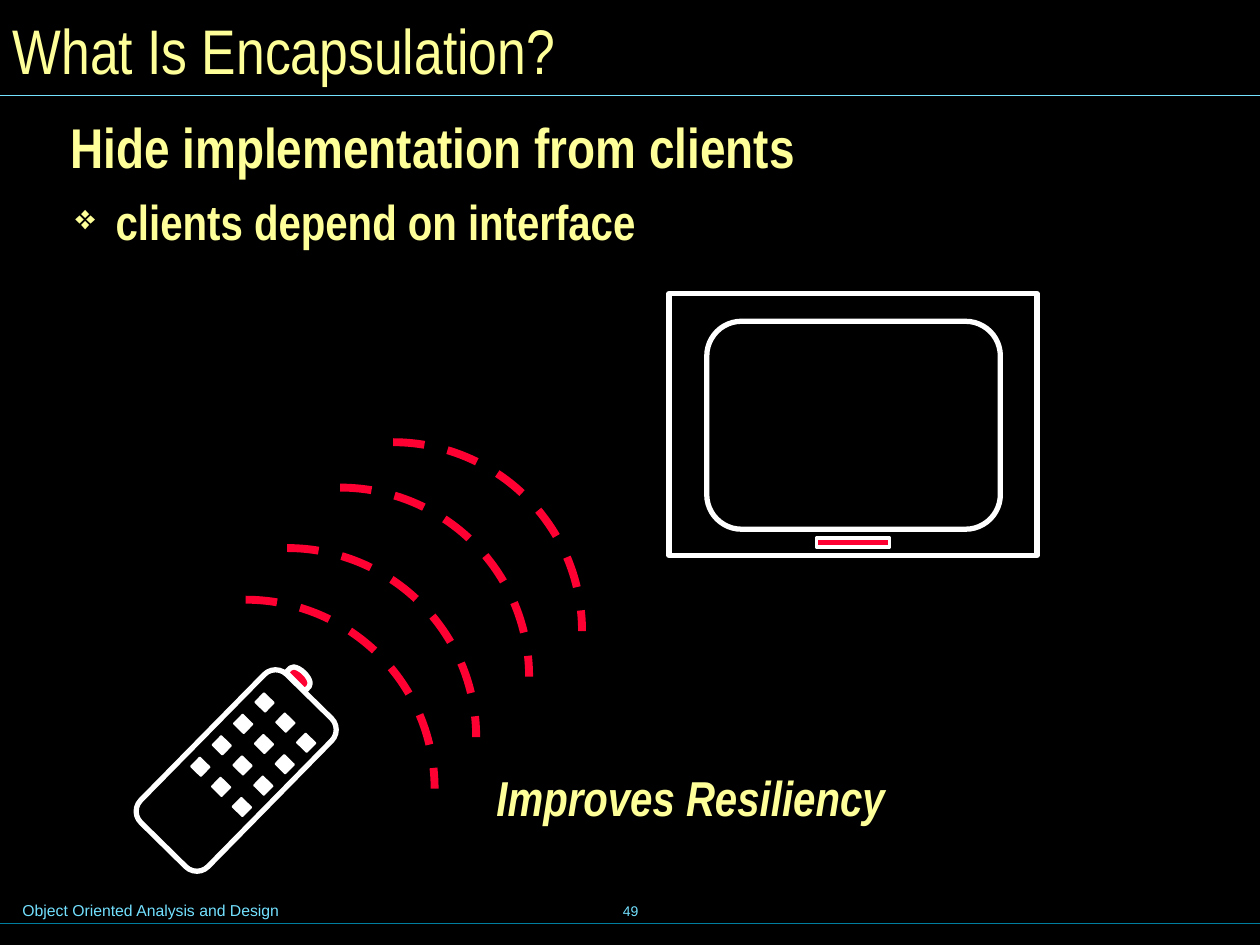
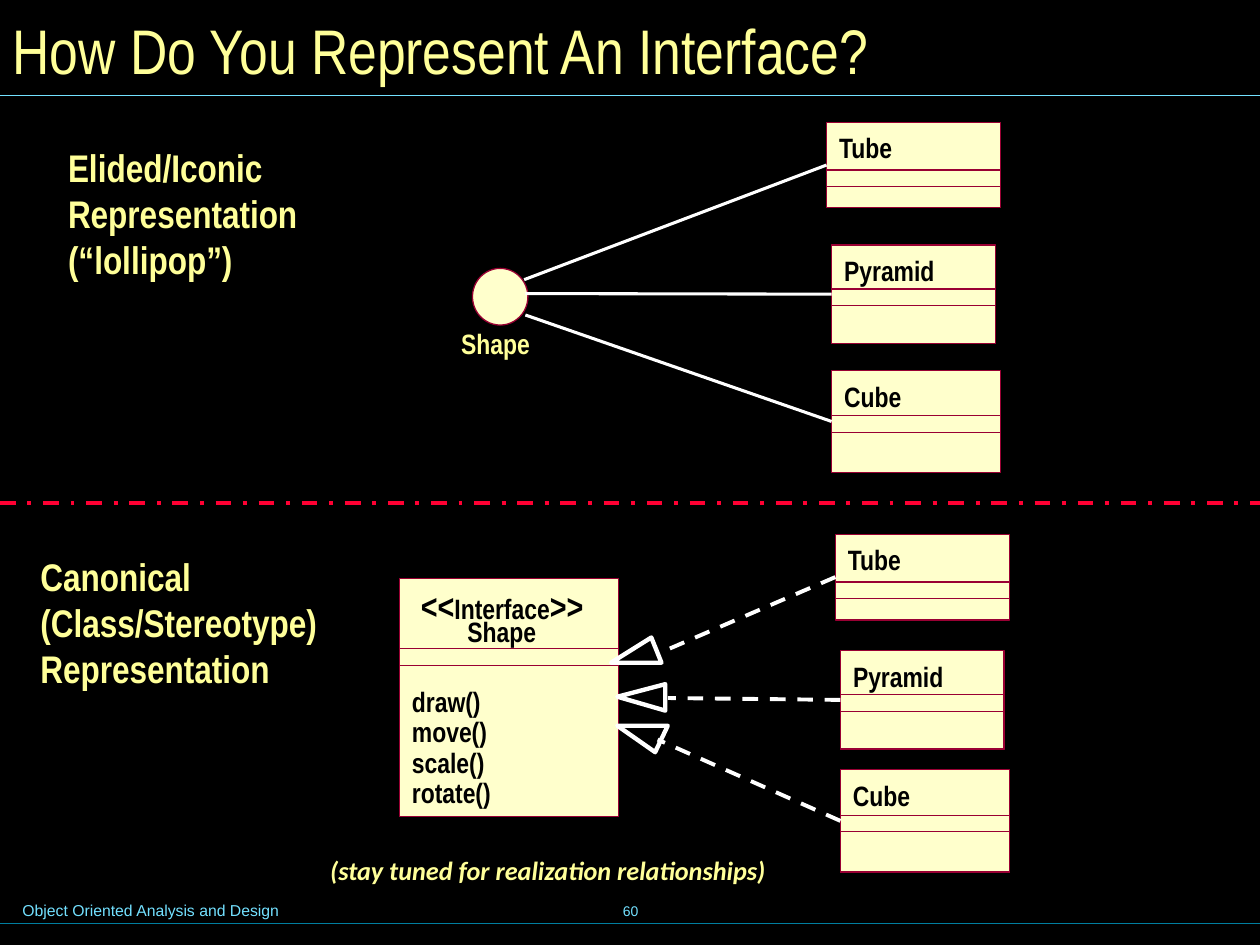
from lxml import etree
from pptx import Presentation
from pptx.dml.color import RGBColor
from pptx.enum.dml import MSO_LINE
from pptx.enum.shapes import MSO_CONNECTOR, MSO_SHAPE
from pptx.enum.text import MSO_ANCHOR, MSO_AUTO_SIZE, PP_ALIGN
from pptx.oxml.ns import qn
from pptx.util import Inches, Pt

COLORS = {
    "black": "000000", "white": "FFFFFF", "yellow": "FFFF99", "cream": "FFFFCC",
    "red": "FF0033", "maroon": "990033", "sky": "73E1FF", "teal": "007E9F",
}
NARROW = "Arial Narrow"
TILT = 314.5


def rgb(name):
    return RGBColor.from_string(COLORS[name])


def inches(values):
    return [Inches(value) for value in values]


def write(para, words, size=16, color="yellow", font=NARROW, bold=True, italic=False):
    span = para.add_run()
    span.text = words
    span.font.size = Pt(size)
    span.font.name = font
    span.font.bold = bold
    span.font.italic = italic
    span.font.color.rgb = rgb(color)


def set_frame(frame, margins=(0, 0), wrap=True, anchor=MSO_ANCHOR.TOP):
    frame.word_wrap = wrap
    frame.auto_size = MSO_AUTO_SIZE.NONE
    frame.vertical_anchor = anchor
    frame.margin_left = frame.margin_right = Inches(margins[0])
    frame.margin_top = frame.margin_bottom = Inches(margins[1])


def add_label(slide, box, lines, margins=(0, 0), wrap=True,
              anchor=MSO_ANCHOR.TOP, align=PP_ALIGN.LEFT, **style):
    frame = slide.shapes.add_textbox(*inches(box)).text_frame
    set_frame(frame, margins, wrap, anchor)
    para = frame.paragraphs[0]
    para.alignment = align
    for number, line in enumerate(lines.split("\n")):
        if number:
            para.add_line_break()
        write(para, line, **style)
    return para


def style_shape(shape, fill, line, width):
    shape.shadow.inherit = False
    if fill:
        shape.fill.solid()
        shape.fill.fore_color.rgb = rgb(fill)
    else:
        shape.fill.background()
    shape.line.color.rgb = rgb(line)
    shape.line.width = Pt(width)
    return shape


def draw_shape(slide, kind, box, fill=None, line="white", width=3.0, rotation=0):
    shape = slide.shapes.add_shape(kind, *inches(box))
    shape.rotation = rotation
    return style_shape(shape, fill, line, width)


def draw_line(slide, start, end, color="white", width=0.75, dash=None):
    line = slide.shapes.add_connector(MSO_CONNECTOR.STRAIGHT, *inches((*start, *end)))
    line.line.color.rgb = rgb(color)
    line.line.width = Pt(width)
    if dash:
        line.line.dash_style = dash
    etree.SubElement(line._element.spPr, qn("a:effectLst"))
    return line


def start_slide(deck, title, number):
    slide = deck.slides.add_slide(deck.slide_layouts[5])
    holder = slide.shapes.title
    holder.left, holder.top, holder.width, holder.height = inches((0, 0, 9.93, 0.78))
    set_frame(holder.text_frame, (0.1, 0.05), anchor=MSO_ANCHOR.MIDDLE)
    para = holder.text_frame.paragraphs[0]
    para.alignment = PP_ALIGN.LEFT
    write(para, title, size=36, bold=False)
    draw_line(slide, (0, 0.76), (10, 0.76), "sky")
    draw_line(slide, (0, 7.33), (10, 7.33), "teal")
    footer = dict(margins=(0.1, 0.05), color="sky", font="Arial", bold=False)
    add_label(slide, (0.08, 7.1, 5.1, 0.25), "Object Oriented Analysis and Design",
              size=9, **footer)
    add_label(slide, (3.42, 6.98, 3.17, 0.5), str(number), size=8,
              anchor=MSO_ANCHOR.MIDDLE, align=PP_ALIGN.CENTER, **footer)
    return slide


def add_bullet(para, symbol, percent):
    props = para._p.get_or_add_pPr()
    props.set("marL", str(Inches(0.82)))
    props.set("indent", str(Inches(-0.32)))
    tint = etree.SubElement(props, qn("a:buClr"))
    etree.SubElement(tint, qn("a:srgbClr"), val=COLORS["yellow"])
    etree.SubElement(props, qn("a:buSzPct"), val=str(percent * 1000))
    etree.SubElement(props, qn("a:buChar"), char=symbol)


def add_points(slide, box, heading, point):
    frame = slide.shapes.add_textbox(*inches(box)).text_frame
    set_frame(frame, (0.1, 0.05))
    para = frame.paragraphs[0]
    para._p.get_or_add_pPr().set("marL", str(Inches(0.46)))
    write(para, heading, size=32)
    para = frame.add_paragraph()
    para.space_before = Pt(7)
    add_bullet(para, "❖", 71)
    write(para, point, size=28)


def draw_television(slide, box):
    left, top, width, height = box
    draw_shape(slide, MSO_SHAPE.RECTANGLE, box)
    draw_shape(slide, MSO_SHAPE.ROUNDED_RECTANGLE,
               (left + 0.3, top + 0.22, width - 0.59, height - 0.43))
    draw_shape(slide, MSO_SHAPE.RECTANGLE,
               (left + 1.17, top + height - 0.14, 0.58, 0.07), "red", width=2)


def draw_signal(slide, starts, radius):
    for left, top in starts:
        wave = draw_shape(slide, MSO_SHAPE.ARC,
                          (left - radius, top, 2 * radius, 2 * radius),
                          line="red", width=4.5)
        wave.line.dash_style = MSO_LINE.DASH


def draw_remote(slide, box):
    left, top, width, height = box
    draw_shape(slide, MSO_SHAPE.FLOWCHART_DELAY,
               (left + 1.28, top - 0.47, 0.1, 0.21), "red", rotation=TILT)
    draw_shape(slide, MSO_SHAPE.ROUNDED_RECTANGLE, box, rotation=TILT)
    for row in range(4):
        for column in range(3):
            x = left + 1 + 0.165 * column - 0.17 * row
            y = top - 0.22 + 0.16 * column + 0.17 * row
            draw_shape(slide, MSO_SHAPE.RECTANGLE, (x, y, 0.1, 0.11),
                       "white", width=1, rotation=TILT)


def draw_class(slide, box, header):
    left, top, width, height = box
    body = draw_shape(slide, MSO_SHAPE.RECTANGLE, box, "cream", "maroon", 0)
    for offset in (header, header + 0.13):
        draw_shape(slide, MSO_SHAPE.RECTANGLE,
                   (left, top + offset, width, height - offset), None, "maroon", 0)
    return body


def draw_solids(slide, left, top, cube_drop):
    solids = (
        ("Tube", (left, top, 1.38, 0.68), 0.38),
        ("Pyramid", (left + 0.04, top + cube_drop / 2 - 0.01, 1.3, 0.78), 0.35),
        ("Cube", (left + 0.04, top + cube_drop, 1.34, 0.81), 0.36),
    )
    bodies = []
    for name, box, header in solids:
        bodies.append(draw_class(slide, box, header))
        add_label(slide, (box[0] + 0.1, box[1] + 0.07, box[2] - 0.18, 0.27),
                  name, color="black")
    return bodies


def join_solids(slide, bodies, ends, **style):
    for body, end in zip(bodies, ends):
        line = draw_line(slide, end, end, **style)
        line.begin_connect(body, 1)


def draw_lollipop(slide, box):
    left, top, width, height = box
    draw_shape(slide, MSO_SHAPE.OVAL, box, "cream", "maroon", 0)
    add_label(slide, (left - 0.09, top + 0.46, 0.55, 0.27), "Shape", wrap=False)
    bodies = draw_solids(slide, 6.56, 0.97, 1.97)
    ends = [(left + 0.41, top + 0.09), (left + 0.42, top + 0.2), (left + 0.42, top + 0.37)]
    join_solids(slide, bodies, ends, width=1.75)


def draw_interface(slide, box):
    left, top, width, height = box
    draw_class(slide, box, 0.56)
    para = add_label(slide, (left + 0.17, top + 0.05, 1.29, 0.33), "<<",
                     wrap=False, size=20, color="black")
    write(para, "Interface", color="black")
    write(para, ">>", size=20, color="black")
    add_label(slide, (left + 0.54, top + 0.29, 0.55, 0.27), "Shape",
              wrap=False, color="black")
    for row, method in enumerate(("draw()", "move()", "scale()", "rotate()")):
        add_label(slide, (left + 0.1, top + 0.84 + 0.243 * row, 0.63, 0.27),
                  method, wrap=False, color="black")


def draw_arrowhead(slide, points):
    start, *others = [inches(point) for point in points]
    builder = slide.shapes.build_freeform(*start)
    builder.add_line_segments(others, close=True)
    style_shape(builder.convert_to_shape(), None, "white", 2.5)


def draw_realizations(slide):
    bodies = draw_solids(slide, 6.63, 4.24, 1.87)
    join_solids(slide, bodies, [(5.24, 5.18), (5.3, 5.54), (5.22, 5.87)],
                width=2.25, dash=MSO_LINE.DASH)
    for points in (
        ((4.85, 5.26), (5.25, 5.26), (5.17, 5.06)),
        ((4.9, 5.53), (5.28, 5.43), (5.28, 5.64)),
        ((4.9, 5.76), (5.3, 5.76), (5.2, 5.97)),
    ):
        draw_arrowhead(slide, points)


def build_encapsulation(deck):
    slide = start_slide(deck, "What Is Encapsulation?", 49)
    add_points(slide, (0, 0.84, 9.8, 1.3), "Hide implementation from clients",
               "clients depend on interface")
    draw_television(slide, (5.31, 2.33, 2.92, 2.08))
    draw_signal(slide, [(1.95, 4.76), (2.28, 4.35), (2.7, 3.87), (3.12, 3.51)], 1.5)
    draw_remote(slide, (1.05, 5.74, 1.65, 0.75))
    add_label(slide, (3.82, 6.03, 4.58, 0.59), "Improves Resiliency",
              margins=(0.12, 0.06), size=28, italic=True)


def build_interface(deck):
    slide = start_slide(deck, "How Do You Represent An Interface?", 60)
    draw_line(slide, (0, 3.99), (10, 3.99), "red", 2.25, MSO_LINE.DASH_DOT)
    caption = dict(margins=(0.12, 0.06), size=22)
    add_label(slide, (0.42, 1.08, 2.54, 1.22),
              "Elided/Iconic Representation\n(“lollipop”)", **caption)
    add_label(slide, (0.2, 4.33, 2.89, 1.22),
              "Canonical (Class/Stereotype) Representation", **caption)
    add_label(slide, (2.5, 6.72, 3.92, 0.4), "(stay tuned for realization relationships)",
              margins=(0.12, 0.06), size=15, font="Calibri", italic=True)
    draw_lollipop(slide, (3.75, 2.13, 0.44, 0.45))
    draw_interface(slide, (3.17, 4.59, 1.74, 1.89))
    draw_realizations(slide)


def main():
    deck = Presentation()
    deck.slide_width, deck.slide_height = Inches(10), Inches(7.5)
    background = deck.slide_master.background.fill
    background.solid()
    background.fore_color.rgb = rgb("black")
    build_encapsulation(deck)
    build_interface(deck)
    deck.save("out.pptx")


if __name__ == "__main__":
    main()
